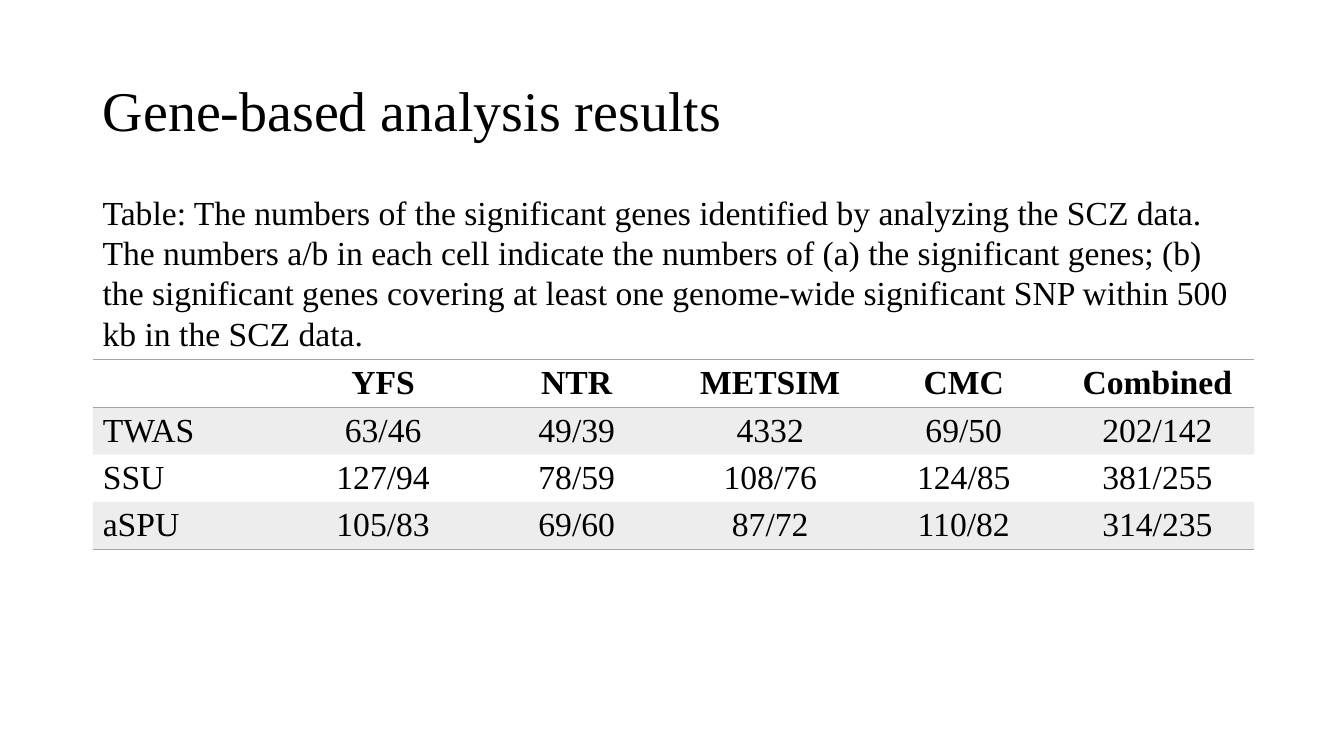
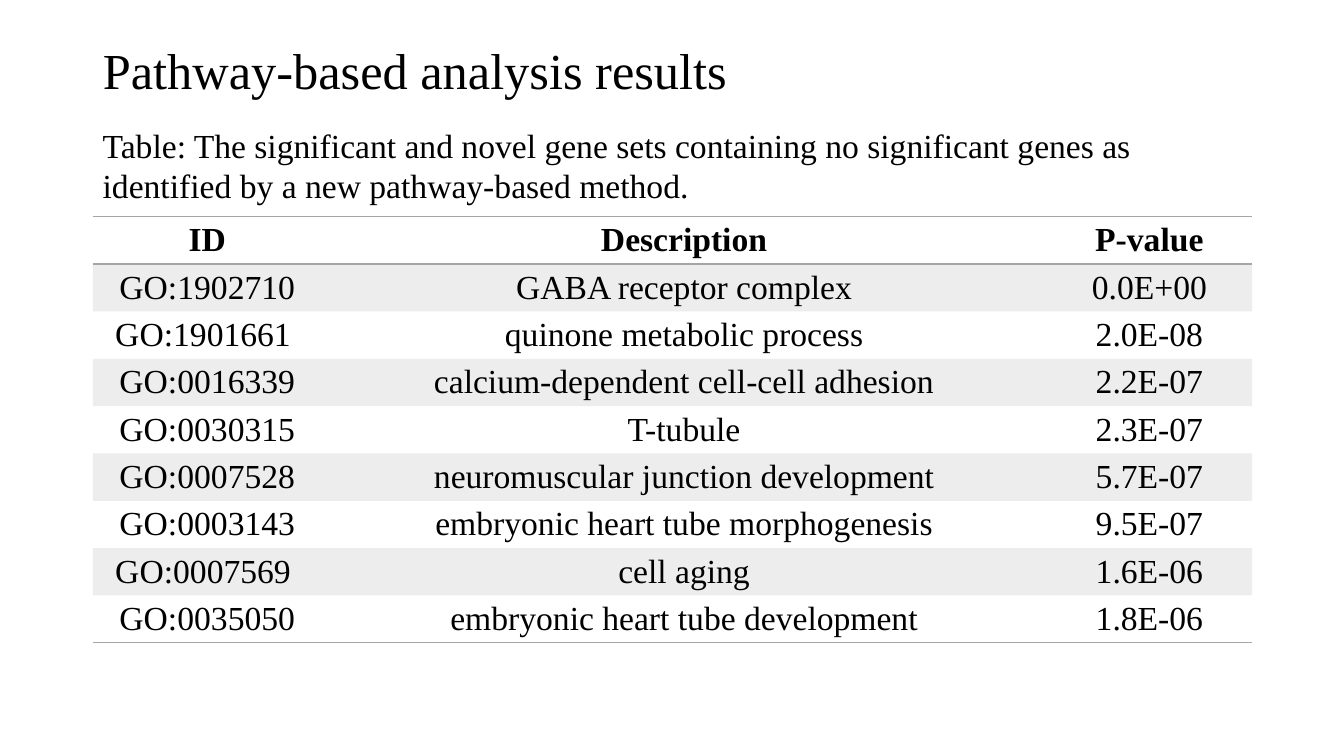
from lxml import etree
from pptx import Presentation
from pptx import util as u
from pptx.dml.color import RGBColor
from pptx.enum import text
from pptx.oxml import ns

PX = 9144  # EMU in one px, 100 px to the inch
COLORS = {"text": "000000", "accent": "A5A5A5"}
FONT = "Times New Roman"
BODY_SIZE = 24
BAND_OPACITY = 20
LEFT, WIDTH = 92, 1150
TITLE_HEIGHT = 145
ROW_HEIGHT = 47
NO_STYLE = "{2D5ABB26-0587-4C30-8999-92F81FD0307C}"

GENE_ROWS = [
    ["", "YFS", "NTR", "METSIM", "CMC", "Combined"],
    ["TWAS", "63/46", "49/39", "4332", "69/50", "202/142"],
    ["SSU", "127/94", "78/59", "108/76", "124/85", "381/255"],
    ["aSPU", "105/83", "69/60", "87/72", "110/82", "314/235"],
]
PATHWAY_ROWS = [
    ["ID", "Description", "P-value"],
    ["GO:1902710", "GABA receptor complex", "0.0E+00"],
    ["GO:1901661 ", "quinone metabolic process", "2.0E-08"],
    ["GO:0016339", "calcium-dependent cell-cell adhesion", "2.2E-07"],
    ["GO:0030315", "T-tubule", "2.3E-07"],
    ["GO:0007528", "neuromuscular junction development", "5.7E-07"],
    ["GO:0003143", "embryonic heart tube morphogenesis", "9.5E-07"],
    ["GO:0007569 ", "cell aging", "1.6E-06"],
    ["GO:0035050", "embryonic heart tube development", "1.8E-06"],
]


def box(left, top, width, height):
    """Turn px lengths into EMU."""
    return [length * PX for length in (left, top, width, height)]


def add_run(paragraph, content, size=BODY_SIZE, bold=False):
    run = paragraph.add_run()
    run.text = content
    run.font.name = FONT
    run.font.size = u.Pt(size)
    run.font.bold = bold
    run.font.color.rgb = RGBColor.from_string(COLORS["text"])


def set_title(slide, top, content, size):
    title = slide.shapes.title
    title.left, title.top, title.width, title.height = box(LEFT, top, WIDTH, TITLE_HEIGHT)
    frame = title.text_frame
    frame.word_wrap = True
    frame.auto_size = text.MSO_AUTO_SIZE.NONE
    frame.vertical_anchor = text.MSO_ANCHOR.MIDDLE
    paragraph = frame.paragraphs[0]
    paragraph.alignment = text.PP_ALIGN.LEFT
    paragraph.line_spacing = 0.9
    add_run(paragraph, content, size)


def add_caption(slide, top, height, content):
    frame = slide.shapes.add_textbox(*box(LEFT, top, WIDTH, height)).text_frame
    frame.word_wrap = True
    frame.auto_size = text.MSO_AUTO_SIZE.SHAPE_TO_FIT_TEXT
    add_run(frame.paragraphs[0], content)


def add_solid_color(parent, color):
    fill = etree.SubElement(parent, ns.qn("a:solidFill"))
    return etree.SubElement(fill, ns.qn("a:srgbClr"), val=color)


def add_border(cell, side):
    """Rule one side of a cell; call before the fill is set."""
    properties = cell._tc.get_or_add_tcPr()
    line = etree.SubElement(properties, ns.qn("a:ln" + side), w=str(u.Pt(1)))
    add_solid_color(line, COLORS["accent"])


def fill_cell(cell, banded):
    if not banded:
        cell.fill.background()
        return
    cell.fill.solid()
    cell.fill.fore_color.rgb = RGBColor.from_string(COLORS["accent"])
    color = cell._tc.tcPr.find(".//" + ns.qn("a:solidFill") + "[last()]/" + ns.qn("a:srgbClr")) \
        if cell._tc.tcPr.find(ns.qn("a:lnB")) is None \
        else cell._tc.tcPr.find(ns.qn("a:solidFill")).find(ns.qn("a:srgbClr"))
    etree.SubElement(color, ns.qn("a:alpha"), val=str(BAND_OPACITY * 1000))


def add_ruled_table(slide, top, column_widths, rows, left_first_column=False):
    """Table with rules around the header and below, and odd rows banded."""
    frame = slide.shapes.add_table(
        len(rows), len(column_widths),
        *box(LEFT, top, sum(column_widths), ROW_HEIGHT * len(rows)))
    table = frame.table
    table.horz_banding = False
    table._tbl.tblPr.find(ns.qn("a:tableStyleId")).text = NO_STYLE
    for column, width in zip(table.columns, column_widths):
        column.width = width * PX
    for row_index, row in enumerate(rows):
        is_header = row_index == 0
        for column_index, content in enumerate(row):
            cell = table.cell(row_index, column_index)
            if is_header:
                add_border(cell, "T")
            if is_header or row_index == len(rows) - 1:
                add_border(cell, "B")
            fill_cell(cell, banded=row_index % 2 == 1)
            paragraph = cell.text_frame.paragraphs[0]
            if not (left_first_column and column_index == 0):
                paragraph.alignment = text.PP_ALIGN.CENTER
            if content:
                add_run(paragraph, content, bold=is_header)


def add_slide(presentation):
    title_only = presentation.slide_layouts.get_by_name("Title Only")
    return presentation.slides.add_slide(title_only)


def main():
    presentation = Presentation()
    presentation.slide_width = u.Inches(13.33)
    presentation.slide_height = u.Inches(7.5)

    slide = add_slide(presentation)
    set_title(slide, 40, "Gene-based analysis results", 40)
    add_ruled_table(slide, 357, [192] * 6, GENE_ROWS, left_first_column=True)
    add_caption(slide, 185, 172, (
        "Table: The numbers of the significant genes identified by analyzing the SCZ data. "
        "The numbers a/b in each cell indicate the numbers of (a) the significant genes; "
        "(b) the significant genes covering at least one genome-wide significant SNP "
        "within 500 kb in the SCZ data."))

    slide = add_slide(presentation)
    set_title(slide, 0, "Pathway-based analysis results", 36)
    add_ruled_table(slide, 215, [227, 719, 204], PATHWAY_ROWS)
    add_caption(slide, 119, 121, (
        "Table: The significant and novel gene sets containing no significant genes "
        "as identified by a new pathway-based method."))

    presentation.save("out.pptx")


if __name__ == "__main__":
    main()
